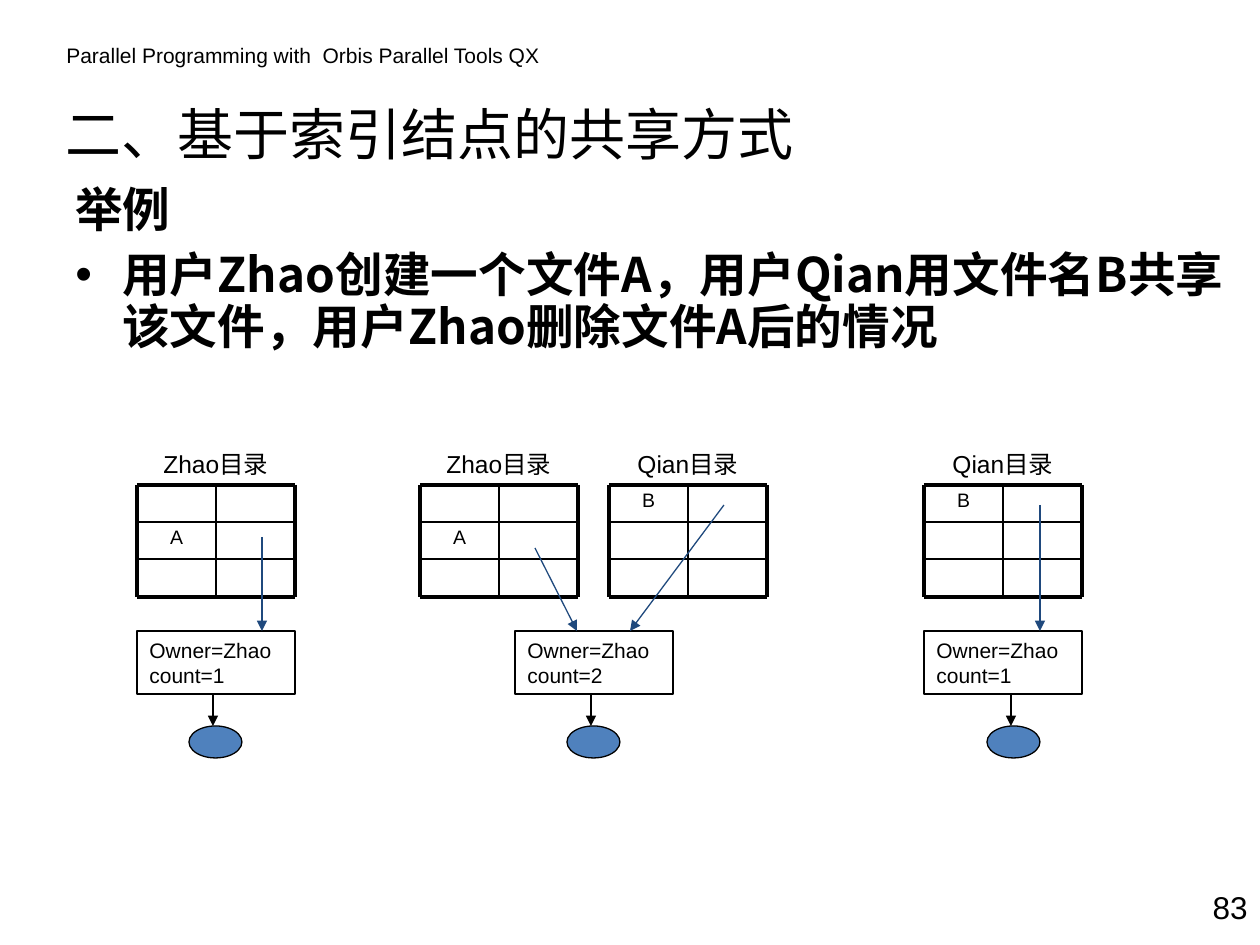
"""Build the slide on sharing files through index nodes."""
from dataclasses import dataclass

from lxml.etree import SubElement
from pptx import Presentation
from pptx.dml.color import RGBColor as Rgb
from pptx.enum.shapes import MSO_CONNECTOR as Link, MSO_SHAPE as Kind
from pptx.enum.text import MSO_ANCHOR as Anchor, MSO_AUTO_SIZE as Fit, PP_ALIGN as Align
from pptx.oxml.ns import qn
from pptx.util import Pt

SCALE = 914400 / 126


@dataclass(frozen=True)
class Theme:
    """Colours, fonts, type sizes and line widths."""
    ink: str = "000000"
    arrow: str = "1F497D"
    disk: str = "4F81BD"
    latin: str = "Arial"
    han: str = "Noto Sans CJK SC"
    title: float = 32
    body: float = 27.2
    page: float = 18
    label: float = 14
    small: float = 12
    cell: float = 11.1
    thick: float = 2.25
    rule: float = 1
    thin: float = 0.75


@dataclass(frozen=True)
class Folder:
    """A directory grid with one named entry."""
    x: int
    user: str
    file: str
    row: int


@dataclass(frozen=True)
class Node:
    """An index node and the file body below it."""
    x: int
    disk: int
    count: int


@dataclass(frozen=True)
class Arrow:
    """A straight arrow between two points."""
    x1: int
    y1: int
    x2: int
    y2: int
    color: str


THEME = Theme()
ROWS, COLS = 3, 2
TOP, HIGH, COL = 485, 112, 79
WIDE = COLS * COL
NODE_Y, NODE_H, DISK_Y = 631, 63, 726
FOLDERS = [
    Folder(137, "Zhao", "A", 1),
    Folder(420, "Zhao", "A", 1),
    Folder(609, "Qian", "B", 0),
    Folder(924, "Qian", "B", 0),
]
NODES = [Node(137, 189, 1), Node(515, 567, 2), Node(924, 987, 1)]
POINTERS = [
    Arrow(262, 537, 262, NODE_Y, THEME.arrow),
    Arrow(535, 548, 577, NODE_Y, THEME.arrow),
    Arrow(724, 505, 630, NODE_Y, THEME.arrow),
    Arrow(1040, 505, 1040, NODE_Y, THEME.arrow),
]


def px(n: float) -> int:
    """Turn pixels into EMU."""
    return round(n * SCALE)


def style(para, size: float, face: str = THEME.latin, bold: bool = False, align=Align.LEFT) -> None:
    """Set the font and alignment of a paragraph."""
    font = para.font
    font.size, font.name, font.bold = Pt(size), face, bold
    font.color.rgb = Rgb.from_string(THEME.ink)
    base = para._p.pPr.find(qn("a:defRPr"))
    SubElement(base, qn("a:ea"), typeface=THEME.han)
    para.alignment = align


def write(slide, box: tuple, text: str, size: float, face: str = THEME.latin,
          bold: bool = False, align=Align.LEFT):
    """Add a wrapped text box and return its frame."""
    frame = slide.shapes.add_textbox(*map(px, box)).text_frame
    frame.word_wrap = True
    frame.text = text
    for para in frame.paragraphs:
        style(para, size, face, bold, align)
    return frame


def head(slide, text: str) -> None:
    """Place and format the title."""
    title = slide.shapes.title
    title.left, title.top, title.width, title.height = map(px, (53, 86, 1102, 94))
    frame = title.text_frame
    frame.text = text
    frame.auto_size = Fit.NONE
    frame.vertical_anchor = Anchor.MIDDLE
    style(frame.paragraphs[0], THEME.title, THEME.han)


def body(slide, text: str) -> None:
    """Write the heading line and the bullet below it."""
    frame = write(slide, (63, 180, 1197, 252), text, THEME.body, THEME.han, True)
    for para in frame.paragraphs:
        para.line_spacing, para.space_before = 0.9, Pt(8)
    props = frame.paragraphs[1]._p.pPr
    props.set("marL", str(px(47)))
    props.set("indent", str(px(-47)))
    base = props.find(qn("a:defRPr"))
    base.addprevious(SubElement(props, qn("a:buFont"), typeface=THEME.latin))
    base.addprevious(SubElement(props, qn("a:buChar"), char="•"))


def line(slide, ends: tuple, width: float, color: str = THEME.ink):
    """Draw a straight line and return it."""
    link = slide.shapes.add_connector(Link.STRAIGHT, *map(px, ends))
    link.line.width = Pt(width)
    link.line.color.rgb = Rgb.from_string(color)
    SubElement(link._element.spPr, qn("a:effectLst"))
    return link


def join(slide, item: Arrow) -> None:
    """Draw an arrow with a triangle head."""
    link = line(slide, (item.x1, item.y1, item.x2, item.y2), THEME.thin, item.color)
    SubElement(link.line._get_or_add_ln(), qn("a:tailEnd"), type="triangle")


def grid(slide, item: Folder) -> None:
    """Draw a directory as a ruled grid with a caption and an entry."""
    x, end = item.x, item.x + WIDE
    ys = [TOP + HIGH * i // ROWS for i in range(ROWS + 1)]
    entry = write(slide, (x, ys[item.row], COL, 37), item.file, THEME.cell, align=Align.CENTER)
    entry.paragraphs[0].line_spacing = 0.9
    for i, y in enumerate(ys):
        line(slide, (x, y, end, y), THEME.thick if i in (0, ROWS) else THEME.rule)
    for i in range(COLS + 1):
        at = x + i * COL
        line(slide, (at, TOP, at, TOP + HIGH), THEME.thick if i in (0, COLS) else THEME.rule)
    write(slide, (x + 11, 443, 136, 42), f"{item.user}目录", THEME.label, align=Align.CENTER)


def shape(slide, kind: Kind, box: tuple):
    """Add a thinly outlined shape without a shadow."""
    item = slide.shapes.add_shape(kind, *map(px, box))
    item.shadow.inherit = False
    item.line.width = Pt(THEME.thin)
    item.line.color.rgb = Rgb.from_string(THEME.ink)
    return item


def inode(slide, item: Node) -> None:
    """Draw an index node, its arrow and the file body."""
    card = shape(slide, Kind.RECTANGLE, (item.x, NODE_Y, WIDE, NODE_H))
    card.fill.background()
    frame = card.text_frame
    frame.text = f"Owner=Zhao\ncount={item.count}"
    frame.vertical_anchor = Anchor.TOP
    for para in frame.paragraphs:
        style(para, THEME.small)
    disk = shape(slide, Kind.OVAL, (item.disk, DISK_Y, 53, 32))
    disk.fill.solid()
    disk.fill.fore_color.rgb = Rgb.from_string(THEME.disk)
    x = item.disk + 24
    join(slide, Arrow(x, NODE_Y + NODE_H, x, DISK_Y, THEME.ink))


def main() -> None:
    """Build and save the slide."""
    deck = Presentation()
    deck.slide_width, deck.slide_height = px(1260), px(945)
    slide = deck.slides.add_slide(deck.slide_layouts[5])
    write(slide, (54, 36, 517, 38), "Parallel Programming with  Orbis Parallel Tools QX", THEME.small)
    head(slide, "二、基于索引结点的共享方式")
    write(slide, (1176, 882, 84, 50), "83", THEME.page, align=Align.RIGHT)
    body(slide, "举例\n用户Zhao创建一个文件A，用户Qian用文件名B共享该文件，用户Zhao删除文件A后的情况")
    for draw, items in ((grid, FOLDERS), (inode, NODES), (join, POINTERS)):
        for item in items:
            draw(slide, item)
    deck.save("out.pptx")


if __name__ == "__main__":
    main()
